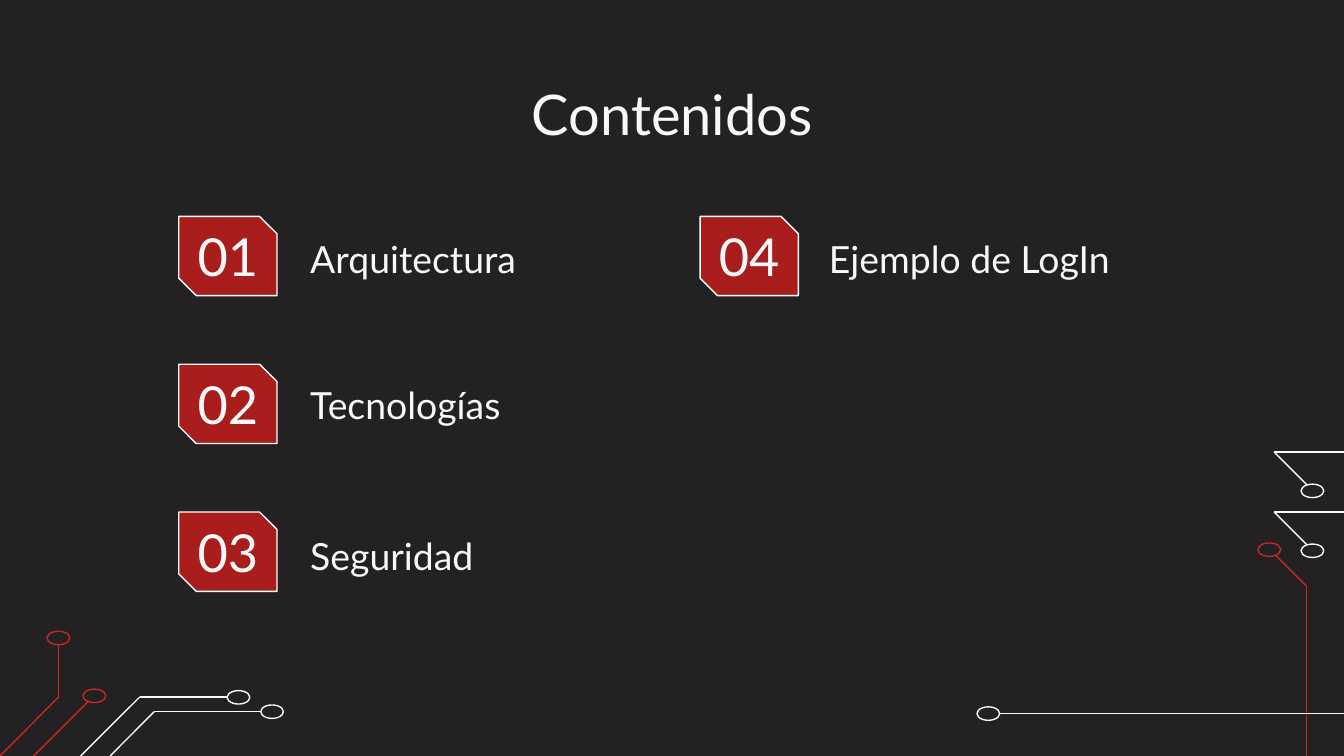
from itertools import pairwise

from lxml.etree import SubElement
from pptx import Presentation
from pptx.dml.color import RGBColor
from pptx.enum.shapes import MSO_CONNECTOR, MSO_SHAPE
from pptx.enum.text import MSO_ANCHOR, PP_ALIGN
from pptx.oxml.ns import qn
from pptx.util import Pt

BACKGROUND = RGBColor(0x23, 0x21, 0x21)
LIGHT = RGBColor(0xF8, 0xF8, 0xF8)
WHITE = RGBColor(0xFF, 0xFF, 0xFF)
RED = RGBColor(0xC9, 0x27, 0x27)
DARK_RED = RGBColor(0xAA, 0x1D, 0x1D)

NODE_WIDTH, NODE_HEIGHT = 12.2, 7.2
BADGE_WIDTH, BADGE_HEIGHT = 52.6, 42.5
FIRST_ROW, ROW_PITCH = 115.9, 79.2
ROWS_PER_COLUMN = 3
COLUMN_LEFTS = (95.8, 375.1)
LABEL_LEFTS = (159.1, 437)

# Label and its top edge, in reading order
ITEMS = [
    ("Arquitectura", 98.6),
    ("Tecnologías", 177.1),
    ("Seguridad", 257.8),
    ("Ejemplo de LogIn", 98.6),
]

# Circuit traces: colour, points of the line, top left of the end node
TRACES = [
    (RED, [(699.8, 405), (699.8, 313.9), (681.8, 295.9)], (673.9, 290.9)),
    (LIGHT, [(535.7, 382.3), (720, 382.3)], (523.4, 378.7)),
    (LIGHT, [(43.2, 405), (74.9, 373.4), (121.7, 373.4)], (121.7, 370)),
    (LIGHT, [(59, 405), (82.8, 381.1), (139.7, 381.1)], (139.7, 377.7)),
    (RED, [(0, 405), (31.5, 373.3), (31.5, 343.4)], (25.2, 338.2)),
    (RED, [(18, 405), (49.7, 373.3)], (44.5, 369.2)),
] + [
    (LIGHT, [(703.4, top + 20.8), (682.6, top), (720, top)], (697, top + 17.2))
    for top in (274.3, 242.2)
]


class SlideBuilder:
    font_name = "Lato"
    line_width = Pt(0.75)

    def __init__(self, slide):
        self.slide = slide

    def background(self, color):
        fill = self.slide.background.fill
        fill.solid()
        fill.fore_color.rgb = color

    def line(self, start, end, color):
        points = [Pt(value) for value in (*start, *end)]
        connector = self.slide.shapes.add_connector(MSO_CONNECTOR.STRAIGHT, *points)
        connector.line.color.rgb = color
        connector.line.width = self.line_width
        SubElement(connector.element.spPr, qn("a:effectLst"))

    def shape(self, kind, box, fill, outline):
        shape = self.slide.shapes.add_shape(kind, *[Pt(value) for value in box])
        shape.shadow.inherit = False
        shape.fill.solid()
        shape.fill.fore_color.rgb = fill
        shape.line.color.rgb = outline
        shape.line.width = self.line_width
        return shape

    def trace(self, color, points, node):
        for start, end in pairwise(points):
            self.line(start, end, color)
        box = (*node, NODE_WIDTH, NODE_HEIGHT)
        self.shape(MSO_SHAPE.OVAL, box, BACKGROUND, color)

    def badge(self, left, top):
        box = (left, top, BADGE_WIDTH, BADGE_HEIGHT)
        shape = self.shape(MSO_SHAPE.SNIP_2_DIAG_RECTANGLE, box, DARK_RED, WHITE)
        shape.adjustments[0] = 0
        shape.adjustments[1] = 0.22

    def text(self, text, box, size, align=PP_ALIGN.LEFT, anchor=MSO_ANCHOR.TOP, inset=7.2):
        shape = self.slide.shapes.add_textbox(*[Pt(value) for value in box])
        frame_format = {
            "word_wrap": True,
            "vertical_anchor": anchor,
            "margin_left": Pt(inset),
            "margin_right": Pt(inset),
            "margin_top": Pt(inset),
            "margin_bottom": Pt(inset),
        }
        for name, value in frame_format.items():
            setattr(shape.text_frame, name, value)
        paragraph = shape.text_frame.paragraphs[0]
        paragraph.alignment = align
        run = paragraph.add_run()
        run.text = text
        for name, value in {"name": self.font_name, "size": Pt(size)}.items():
            setattr(run.font, name, value)
        run.font.color.rgb = LIGHT


def main():
    presentation = Presentation()
    presentation.slide_width = Pt(720)
    presentation.slide_height = Pt(405)
    builder = SlideBuilder(presentation.slides.add_slide(presentation.slide_layouts[6]))

    # Background and circuit decoration
    builder.background(BACKGROUND)
    for color, points, node in TRACES:
        builder.trace(color, points, node)

    # Title
    builder.text("Contenidos", (56.7, 35.3, 607, 45.4), 30, PP_ALIGN.CENTER)

    # Numbered contents, filled column by column
    for index, (label, label_top) in enumerate(ITEMS):
        column, row = divmod(index, ROWS_PER_COLUMN)
        left = COLUMN_LEFTS[column]
        top = FIRST_ROW + row * ROW_PITCH
        builder.badge(left, top)
        builder.text(f"{index + 1:02}", (left + 5, top + 4.3, 42.5, 33.8), 28,
                     PP_ALIGN.CENTER, MSO_ANCHOR.MIDDLE, inset=0)
        builder.text(label, (LABEL_LEFTS[column], label_top, 193.7, 59), 20,
                     anchor=MSO_ANCHOR.BOTTOM)

    presentation.save("out.pptx")


if __name__ == "__main__":
    main()
